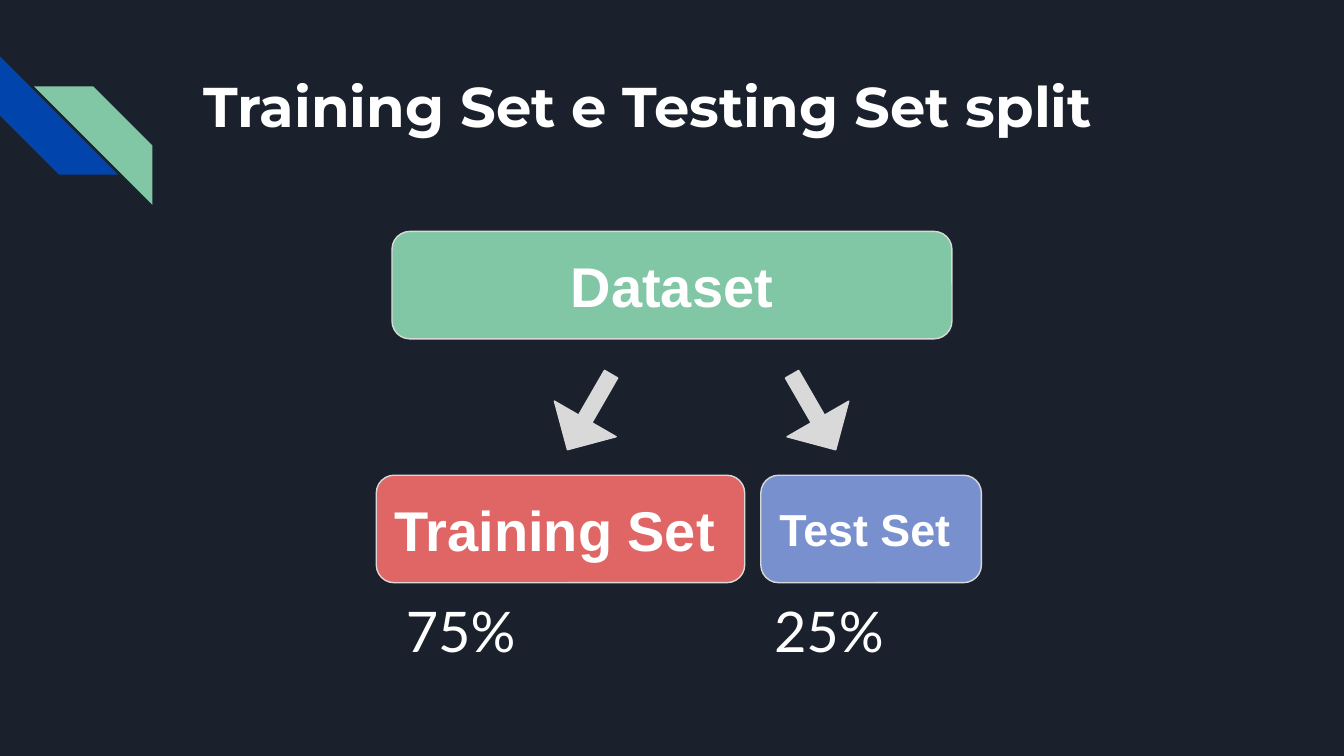
from dataclasses import dataclass
from typing import Optional

from pptx import Presentation
from pptx.dml.color import RGBColor
from pptx.enum import shapes, text
from pptx.util import Pt

NAVY = RGBColor(0x1B, 0x21, 0x2C)
BLUE = RGBColor(0x01, 0x45, 0xAC)
GREEN = RGBColor(0x82, 0xC7, 0xA5)
RED = RGBColor(0xE0, 0x66, 0x66)
PERIWINKLE = RGBColor(0x78, 0x90, 0xCD)
GREY = RGBColor(0xD9, 0xD9, 0xD9)
WHITE = RGBColor(0xFF, 0xFF, 0xFF)

KIND = shapes.MSO_SHAPE
ALIGN = text.PP_ALIGN
ANCHOR = text.MSO_ANCHOR


@dataclass
class Label:
    words: str
    size: float = 30
    font: str = "Arial"
    bold: bool = True
    align: ALIGN = ALIGN.LEFT
    anchor: ANCHOR = ANCHOR.TOP


@dataclass
class Block:
    kind: KIND
    box: tuple[float, float, float, float]
    fill: RGBColor
    adjust: tuple[float, ...]
    line: Optional[RGBColor] = GREY
    rotation: float = 0
    label: Optional[Label] = None


def write(sp, label: Label) -> None:
    tf = sp.text_frame
    tf.word_wrap = True
    tf.vertical_anchor = label.anchor
    tf.margin_left = tf.margin_right = tf.margin_top = tf.margin_bottom = Pt(7.2)
    p = tf.paragraphs[0]
    p.alignment = label.align
    r = p.add_run()
    r.text = label.words
    r.font.name = label.font
    r.font.size = Pt(label.size)
    r.font.bold = label.bold
    r.font.color.rgb = WHITE


def draw_block(slide, block: Block) -> None:
    sp = slide.shapes.add_shape(block.kind, *map(Pt, block.box))
    sp.shadow.inherit = False
    sp.rotation = block.rotation
    for i, value in enumerate(block.adjust):
        sp.adjustments[i] = value
    sp.fill.solid()
    sp.fill.fore_color.rgb = block.fill
    if block.line is None:
        sp.line.fill.background()
    else:
        sp.line.color.rgb = block.line
        sp.line.width = Pt(0.75)
    if block.label:
        write(sp, block.label)


def draw_text(slide, box: tuple[float, float, float, float], label: Label) -> None:
    write(slide.shapes.add_textbox(*map(Pt, box)), label)


def stripe(x: float, y: float, fill: RGBColor, rotation: float) -> Block:
    return Block(KIND.DIAGONAL_STRIPE, (x, y, 63.4, 63.4), fill, (0.5,), None, rotation)


def card(x: float, y: float, width: float, fill: RGBColor, label: Label) -> Block:
    label.anchor = ANCHOR.MIDDLE
    return Block(KIND.ROUNDED_RECTANGLE, (x, y, width, 57.6), fill, (0.167,), label=label)


def arrow(x: float, rotation: float) -> Block:
    return Block(KIND.DOWN_ARROW, (x, 197.3, 38.2, 46.8), GREY, (0.215, 0.5),
                 rotation=rotation)


prs = Presentation()
prs.slide_width, prs.slide_height = Pt(720), Pt(405)
slide = prs.slides.add_slide(prs.slide_layouts[6])
slide.background.fill.solid()
slide.background.fill.fore_color.rgb = NAVY

# Corner stripes, dataset, its two parts and the arrows between them
for block in (
    stripe(0, 30.2, BLUE, 270),
    stripe(18.2, 46.3, GREEN, 90),
    card(210, 124, 300, GREEN, Label("Dataset", align=ALIGN.CENTER)),
    card(201.6, 254.6, 197.4, RED, Label("Training Set")),
    card(407.6, 254.6, 118.2, PERIWINKLE, Label("Test Set", size=24)),
    arrow(296.6, 30),
    arrow(416.9, 330),
):
    draw_block(slide, block)

# Title and shares
draw_text(slide, (102.2, 31, 554.4, 72),
          Label("Training Set e Testing Set split", font="Montserrat"))
for x, width, share in ((210.3, 77.8, "75%"), (407.6, 86.4, "25%")):
    draw_text(slide, (x, 312.5, width, 41.8), Label(share, font="Lato", bold=False))

prs.save("out.pptx")
